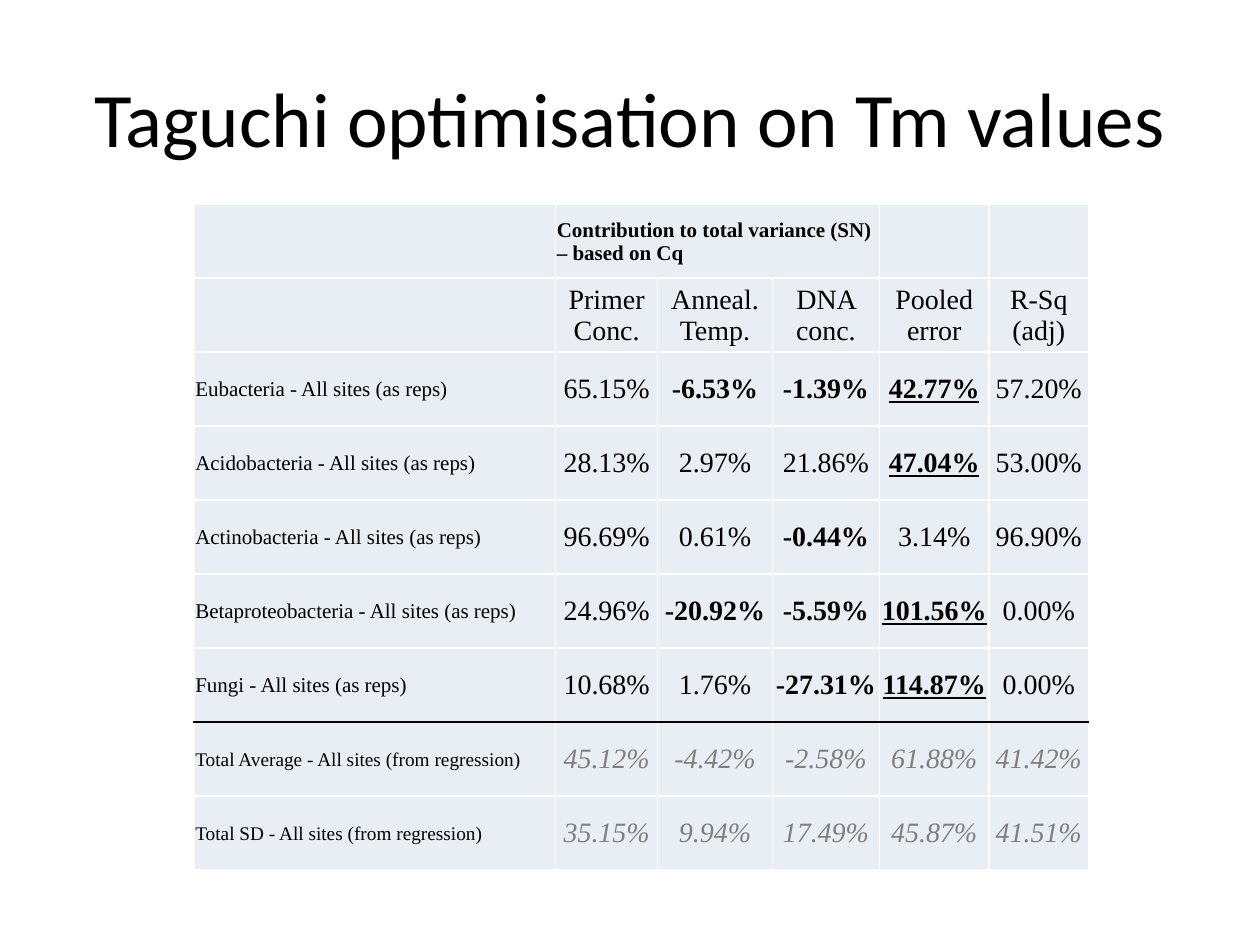
"""Build a slide with a table of Taguchi variance contributions."""
from dataclasses import dataclass

from lxml import etree
from pptx import Presentation
from pptx import util as u
from pptx.dml.color import RGBColor
from pptx.enum import text
from pptx.oxml.ns import qn

COLORS = {"ink": "000000", "muted": "7F7F7F", "cell": "E9EDF4", "rule": "FFFFFF"}
SLIDE_W, SLIDE_H = u.Inches(10), u.Inches(7.5)
COL_WIDTHS = [2.87, 0.81, 0.91, 0.85, 0.87, 0.79]
HEADINGS = ["Primer Conc.", "Anneal. Temp.", "DNA conc.", "Pooled error", "R-Sq (adj)"]
GROUP_HEADING = "Contribution to total variance (SN) – based on Cq"
POOLED = HEADINGS.index("Pooled error")
HIGH_ERROR = 40
HEADER_ROWS = 2


@dataclass
class Result:
    label: str
    values: list[float]
    total: bool = False


@dataclass
class Style:
    size: int
    color: str = "ink"
    bold: bool = False
    italic: bool = False
    underline: bool = False
    centered: bool = True
    margin: float = 0


RESULTS = [
    Result("Eubacteria - All sites (as reps)", [65.15, -6.53, -1.39, 42.77, 57.20]),
    Result("Acidobacteria - All sites (as reps)", [28.13, 2.97, 21.86, 47.04, 53.00]),
    Result("Actinobacteria - All sites (as reps)", [96.69, 0.61, -0.44, 3.14, 96.90]),
    Result("Betaproteobacteria - All sites (as reps)", [24.96, -20.92, -5.59, 101.56, 0.00]),
    Result("Fungi - All sites (as reps)", [10.68, 1.76, -27.31, 114.87, 0.00]),
    Result("Total Average - All sites (from regression)", [45.12, -4.42, -2.58, 61.88, 41.42], True),
    Result("Total SD - All sites (from regression)", [35.15, 9.94, 17.49, 45.87, 41.51], True),
]


def rgb(name: str) -> RGBColor:
    """Look up a named colour."""
    return RGBColor.from_string(COLORS[name])


def frame_cell(cell, top: str, bottom: str) -> None:
    """Fill a cell and draw its four borders."""
    tc_pr = cell._tc.get_or_add_tcPr()
    for side, color in {"L": "rule", "R": "rule", "T": top, "B": bottom}.items():
        ln = etree.SubElement(tc_pr, qn(f"a:ln{side}"), w=str(u.Pt(1)))
        fill = etree.SubElement(ln, qn("a:solidFill"))
        etree.SubElement(fill, qn("a:srgbClr"), val=COLORS[color])
    cell.fill.solid()
    cell.fill.fore_color.rgb = rgb("cell")


def write_cell(cell, content: str, style: Style) -> None:
    """Write one styled paragraph in a cell."""
    cell.vertical_anchor = text.MSO_ANCHOR.MIDDLE
    cell.margin_left = cell.margin_right = cell.margin_top = u.Inches(style.margin)
    cell.margin_bottom = 0
    p = cell.text_frame.paragraphs[0]
    p.text = content
    p.alignment = text.PP_ALIGN.CENTER if style.centered else text.PP_ALIGN.LEFT
    p.font.name, p.font.size = "Times New Roman", u.Pt(style.size)
    p.font.bold, p.font.italic, p.font.underline = style.bold, style.italic, style.underline
    p.font.color.rgb = rgb(style.color)


def value_style(result: Result, col: int) -> Style:
    """Mute totals; stress negative contributions and high pooled errors."""
    if result.total:
        return Style(16, "muted", italic=True)
    value = result.values[col]
    high = col == POOLED and value > HIGH_ERROR
    return Style(16, bold=value < 0 or high, underline=high)


def add_title(s, content: str) -> None:
    """Place and format the title placeholder."""
    sp = s.shapes.title
    sp.left, sp.top = int(SLIDE_W * 0.05), int(SLIDE_H * 0.04)
    sp.width, sp.height = int(SLIDE_W * 0.9), u.Inches(1.25)
    tf = sp.text_frame
    tf.text = content
    tf.vertical_anchor = text.MSO_ANCHOR.MIDDLE
    p = tf.paragraphs[0]
    p.alignment = text.PP_ALIGN.CENTER
    p.font.name, p.font.size = "Calibri", u.Pt(44)
    p.font.color.rgb = rgb("ink")


def add_results(s) -> None:
    """Add the table of contributions with a rule above the totals."""
    rows = HEADER_ROWS + len(RESULTS)
    table = s.shapes.add_table(rows, len(COL_WIDTHS), u.Inches(1.54), u.Inches(1.62),
                               u.Inches(sum(COL_WIDTHS)), u.Inches(5.29)).table
    table.first_row = table.horz_banding = False
    for column, width in zip(table.columns, COL_WIDTHS):
        column.width = u.Inches(width)

    first_total = HEADER_ROWS + [result.total for result in RESULTS].index(True)
    for row in range(rows):
        top = "ink" if row == first_total else "rule"
        bottom = "ink" if row + 1 == first_total else "rule"
        for col in range(len(COL_WIDTHS)):
            frame_cell(table.cell(row, col), top, bottom)

    table.cell(0, 1).merge(table.cell(0, 3))
    write_cell(table.cell(0, 1), GROUP_HEADING, Style(12, bold=True, centered=False, margin=0.01))
    for col, heading in enumerate(HEADINGS, 1):
        write_cell(table.cell(1, col), heading, Style(16, margin=0.01))
    for row, result in enumerate(RESULTS, HEADER_ROWS):
        label_size = 11 if result.total else 12
        write_cell(table.cell(row, 0), result.label, Style(label_size, centered=False, margin=0.01))
        for col, value in enumerate(result.values):
            write_cell(table.cell(row, col + 1), f"{value:.2f}%", value_style(result, col))


def main() -> None:
    """Build and save the slide."""
    prs = Presentation()
    prs.slide_width, prs.slide_height = SLIDE_W, SLIDE_H
    s = prs.slides.add_slide(prs.slide_layouts[5])
    add_title(s, "Taguchi optimisation on Tm values")
    add_results(s)
    prs.save("out.pptx")


if __name__ == "__main__":
    main()
